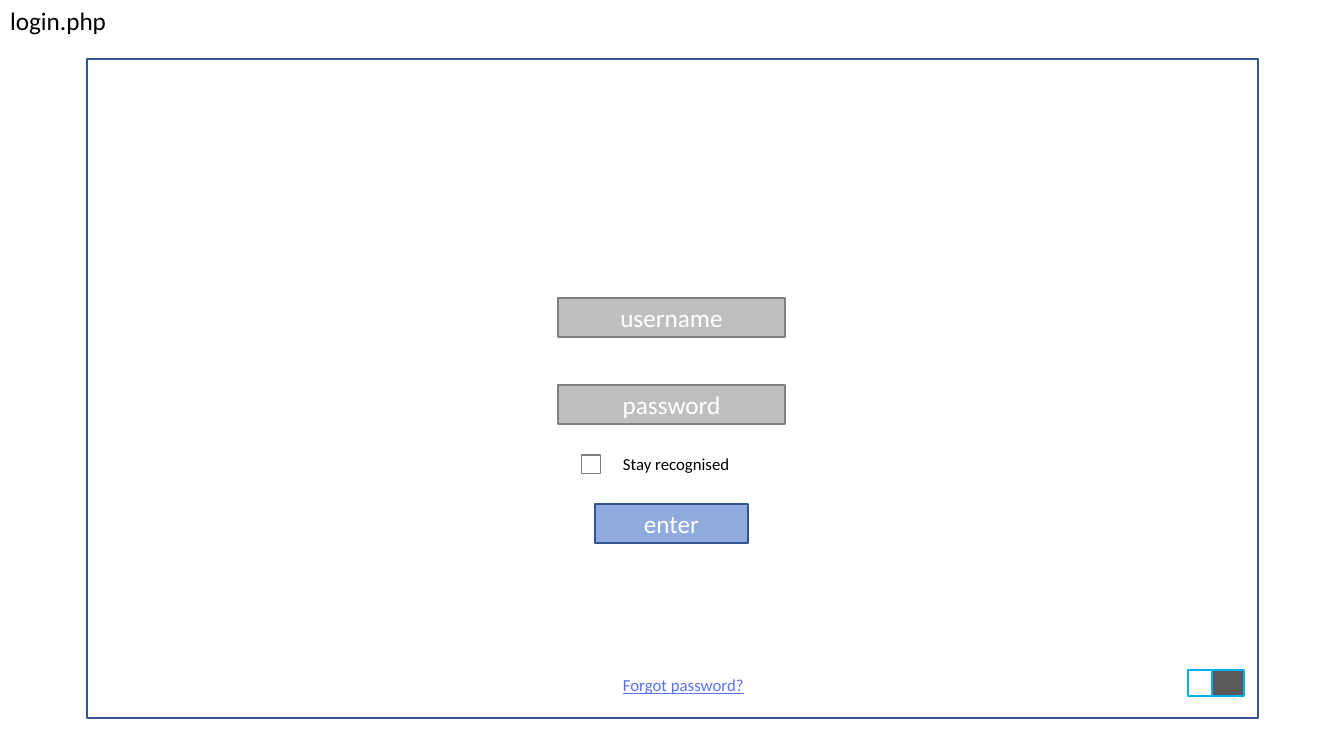
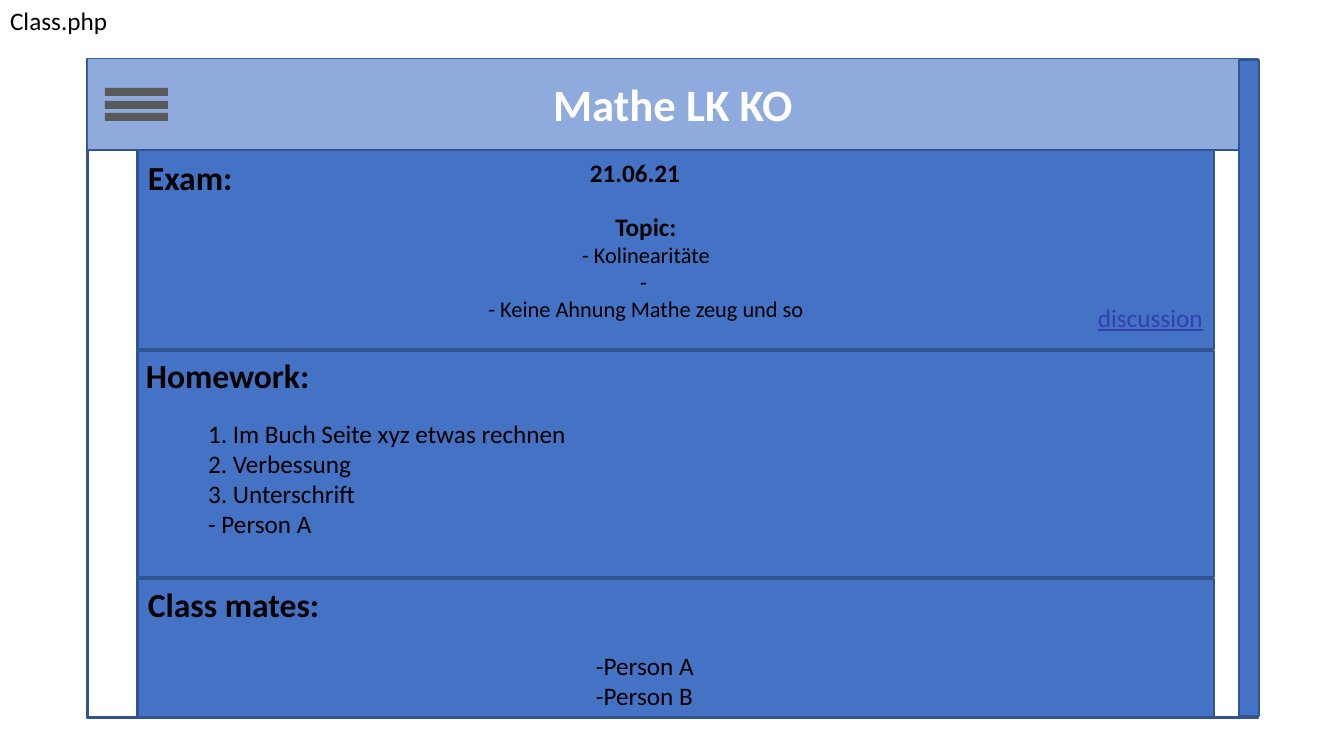
from pptx import Presentation
from pptx import util as u
from pptx.dml.color import RGBColor
from pptx.enum import shapes, text
from lxml import etree

SCALE = 914400 / 100.8
FONT = "Calibri"
WHITE, BLACK = "FFFFFF", "000000"
NAVY, BLUE, SKY = "325491", "4472C4", "8FAADC"
DARK, GREY, SILVER, CYAN = "595959", "808080", "BFBFBF", "00B0F0"
FRAME = (87, 59, 1171, 659)
LEFT = text.PP_ALIGN.LEFT
MID = text.PP_ALIGN.CENTER


def px(num):
    """Turn pixels into EMU."""
    return u.Emu(round(num * SCALE))


def paint(part, code):
    """Give a fill, line or font a hex colour."""
    part.rgb = RGBColor.from_string(code)


def place(shape, box):
    """Move a shape to a pixel box."""
    shape.left, shape.top, shape.width, shape.height = map(px, box)


def write(shape, lines, size, color, bold=False, align=LEFT):
    """Fill a shape with evenly styled paragraphs."""
    frame = shape.text_frame
    frame.text = "\n".join(lines)
    for para in frame.paragraphs:
        para.alignment = align
        para.space_before = u.Pt(0)
        font = para.font
        font.name, font.size, font.bold = FONT, u.Pt(size), bold
        paint(font.color, color)
    return frame


def block(slide, box, fill, line=None, width=1, label="", size=18, bold=False):
    """Draw a rectangle with an optional centred label."""
    shape = slide.shapes.add_shape(shapes.MSO_SHAPE.RECTANGLE, *map(px, box))
    shape.shadow.inherit = False
    shape.fill.solid()
    paint(shape.fill.fore_color, fill)
    if line:
        paint(shape.line.color, line)
        shape.line.width = u.Pt(width)
    else:
        shape.line.fill.background()
    if label:
        frame = write(shape, [label], size, WHITE, bold, MID)
        frame.vertical_anchor = text.MSO_ANCHOR.MIDDLE


def fit(frame):
    """Let a frame hug its unwrapped text from the top."""
    frame.word_wrap = False
    frame.auto_size = text.MSO_AUTO_SIZE.SHAPE_TO_FIT_TEXT
    frame.vertical_anchor = text.MSO_ANCHOR.TOP


def note(slide, box, lines, size=18, color=BLACK, bold=False, align=LEFT):
    """Add a text box."""
    shape = slide.shapes.add_textbox(*map(px, box))
    frame = write(shape, lines, size, color, bold, align)
    fit(frame)
    return frame


def link(slide, box, label, size, color):
    """Add underlined text."""
    frame = note(slide, box, [label], size, color)
    frame.paragraphs[0].font.underline = True


def plain(slide, box, lines):
    """Put an unbulleted list in the body placeholder, in front."""
    shape = slide.placeholders[1]
    place(shape, box)
    fit(write(shape, lines, 18, BLACK))
    for para in shape.text_frame.paragraphs:
        props = para._p.get_or_add_pPr()
        props.set("marL", "0")
        props.set("indent", "0")
        etree.SubElement(props, props.tag.replace("}pPr", "}buNone"))
        # Bullet settings precede the default run properties.
        props.insert(len(props) - 2, props[-1])
    slide.shapes._spTree.append(shape._element)


def page(deck, layout, name):
    """Start a slide with its file name and window frame."""
    slide = deck.slides.add_slide(deck.slide_layouts[layout])
    title = slide.shapes.title
    place(title, (0, 0, 118, 40))
    fit(write(title, [name], 18, BLACK))
    block(slide, FRAME, WHITE, NAVY)
    return slide


def login(deck):
    """Build the login form."""
    slide = page(deck, 5, "login.php")
    for top, label in ((298, "username"), (385, "password")):
        block(slide, (558, top, 227, 39), SILVER, GREY, 1.5, label)
    block(slide, (582, 455, 19, 19), WHITE, GREY, 0.75)
    note(slide, (613, 449, 128, 30), ["Stay recognised"], 12)
    block(slide, (595, 504, 153, 39), SKY, NAVY, label="enter")
    link(slide, (613, 670, 142, 30), "Forgot password?", 12, "5971F6")
    for width, fill in ((56, DARK), (24, WHITE)):
        block(slide, (1188, 670, width, 26), fill, CYAN)


def course(deck):
    """Build the class overview."""
    slide = page(deck, 1, "Class.php")
    block(slide, (88, 59, 1170, 90), SKY, label="Mathe LK KO", size=32,
          bold=True)
    for top in (88, 101, 113):
        block(slide, (105, top, 63, 8), DARK)
    block(slide, (88, 150, 1169, 567), WHITE, NAVY)
    block(slide, (137, 150, 1076, 567), SILVER, NAVY)
    block(slide, (1239, 60, 20, 656), BLUE, NAVY)
    panels = (
        ("Exam:", 150, 199, (138, 152, 106, 50)),
        ("Homework:", 351, 226, (136, 350, 185, 50)),
        ("Class mates:", 579, 138, (138, 579, 194, 50)),
    )
    for head, top, high, box in panels:
        block(slide, (138, top, 1076, high), BLUE, NAVY)
        note(slide, box, [head], 24, bold=True)

    note(slide, (580, 152, 111, 40), ["21.06.21"], bold=True)
    topic = note(slide, (476, 206, 340, 122),
                 ["Topic:", "- Kolinearitäte", "- ",
                  "- Keine Ahnung Mathe zeug und so"], 16, align=MID)
    first = topic.paragraphs[0].font
    first.size, first.bold = u.Pt(18), True
    link(slide, (1088, 297, 126, 40), "discussion", 18, "3440B0")
    plain(slide, (198, 413, 388, 132),
          ["1. Im Buch Seite xyz etwas rechnen ", "2. Verbessung ",
           "3. Unterschrift", "- Person A"])
    note(slide, (586, 645, 119, 72), ["-Person A", "-Person B"])


def main():
    """Build and save the deck."""
    deck = Presentation()
    deck.slide_width, deck.slide_height = px(1344), px(756)
    login(deck)
    course(deck)
    deck.save("out.pptx")


main()
